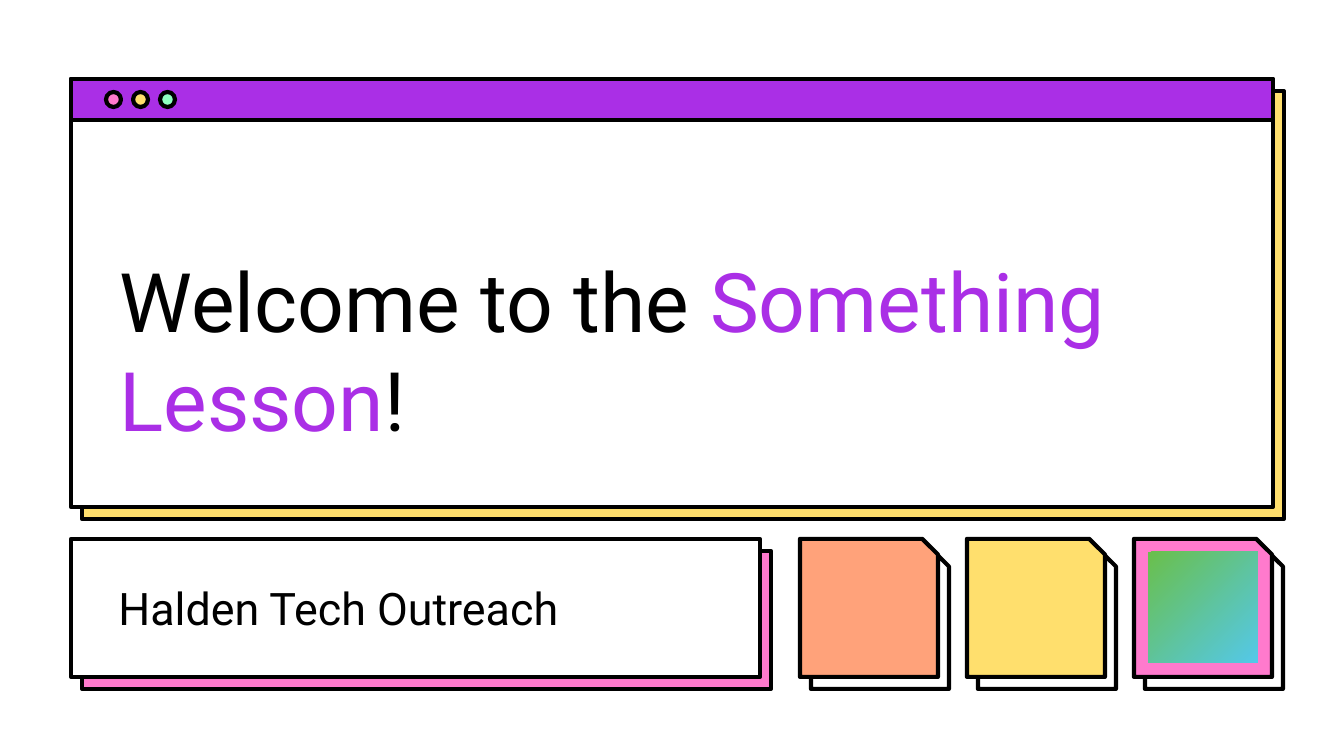
"""Build a welcome slide styled as a browser window with cards below it."""
from pptx import Presentation
from pptx.dml.color import RGBColor
from pptx.enum.shapes import MSO_SHAPE as SHAPE
from pptx.enum.text import MSO_ANCHOR as ANCHOR, MSO_AUTO_SIZE as FIT, PP_ALIGN as ALIGN
from pptx.util import Pt

PX = 914400 / 134.4
COLORS = {
    "black": "000000", "white": "FFFFFF", "purple": "AA2FE6", "pink": "FF7ACD",
    "yellow": "FFDF6D", "mint": "8FFFC1", "orange": "FFA27A",
    "green": "6ABF4B", "blue": "54C8E8",
}
LEFT, PANEL_TOP, CARD_TOP = 71, 79, 539
PANEL_W, PANEL_H, CARD_W, CARD_H = 1202, 428, 689, 138
SHADOW_X, SHADOW_Y = 11, 12


def rgb(name):
    return RGBColor.from_string(COLORS[name])


def draw(kind, box, fill):
    shape = slide.shapes.add_shape(kind, *[round(v * PX) for v in box])
    shape.shadow.inherit = False
    shape.fill.solid()
    shape.fill.fore_color.rgb = rgb(fill)
    shape.line.color.rgb = rgb("black")
    shape.line.width = Pt(2.25)
    return shape


prs = Presentation()
prs.slide_width, prs.slide_height = round(1344 * PX), round(756 * PX)
slide = prs.slides.add_slide(prs.slide_layouts[0])

panels = [(PANEL_TOP, PANEL_W, PANEL_H, "yellow"), (CARD_TOP, CARD_W, CARD_H, "pink")]
for top, width, height, shade in panels:
    draw(SHAPE.RECTANGLE, (LEFT + SHADOW_X, top + SHADOW_Y, width, height), shade)
    draw(SHAPE.RECTANGLE, (LEFT, top, width, height), "white")

draw(SHAPE.RECTANGLE, (LEFT, PANEL_TOP, PANEL_W, 41), "purple")
for i, color in enumerate(["pink", "yellow", "mint"]):
    draw(SHAPE.OVAL, (106 + 27 * i, 92, 15, 15), color)

for i, color in enumerate(["orange", "yellow", "pink"]):
    for dx, dy, fill in [(SHADOW_X, SHADOW_Y, "white"), (0, 0, color)]:
        box = (800 + 167 * i + dx, CARD_TOP + dy, CARD_H, CARD_H)
        tile = draw(SHAPE.SNIP_1_RECTANGLE, box, fill)
        tile.adjustments[0] = 0.113

badge = draw(SHAPE.RECTANGLE, (1148, 552, 110, 111), "green")
badge.line.fill.background()
badge.fill.gradient()
badge.fill.gradient_angle = 315
for stop, color, position in zip(badge.fill.gradient_stops, ["green", "blue"], [0, 0.99]):
    stop.color.rgb = rgb(color)
    stop.position = position

title, subtitle = slide.placeholders
texts = [
    (title, (106, 167, 1133, 294), 44, ANCHOR.BOTTOM,
     [("Welcome to the ", "black"), ("Something Lesson", "purple"), ("!", "black")]),
    (subtitle, (105, 567, 610, 89), 24, ANCHOR.TOP, [("Halden Tech Outreach", "black")]),
]
for holder, box, size, anchor, runs in texts:
    holder.element.getparent().append(holder.element)
    for side, value in zip(["left", "top", "width", "height"], box):
        setattr(holder, side, round(value * PX))
    frame = holder.text_frame
    inset = Pt(7.2)
    frame_format = {
        "word_wrap": True, "auto_size": FIT.NONE, "vertical_anchor": anchor,
        "margin_left": inset, "margin_right": inset,
        "margin_top": inset, "margin_bottom": inset,
    }
    for key, value in frame_format.items():
        setattr(frame, key, value)
    line = frame.paragraphs[0]
    line.alignment = ALIGN.LEFT
    line.space_before = Pt(0)
    for words, color in runs:
        run = line.add_run()
        run.text = words
        run.font.name = "Roboto"
        run.font.size = Pt(size)
        run.font.color.rgb = rgb(color)

prs.save("out.pptx")
